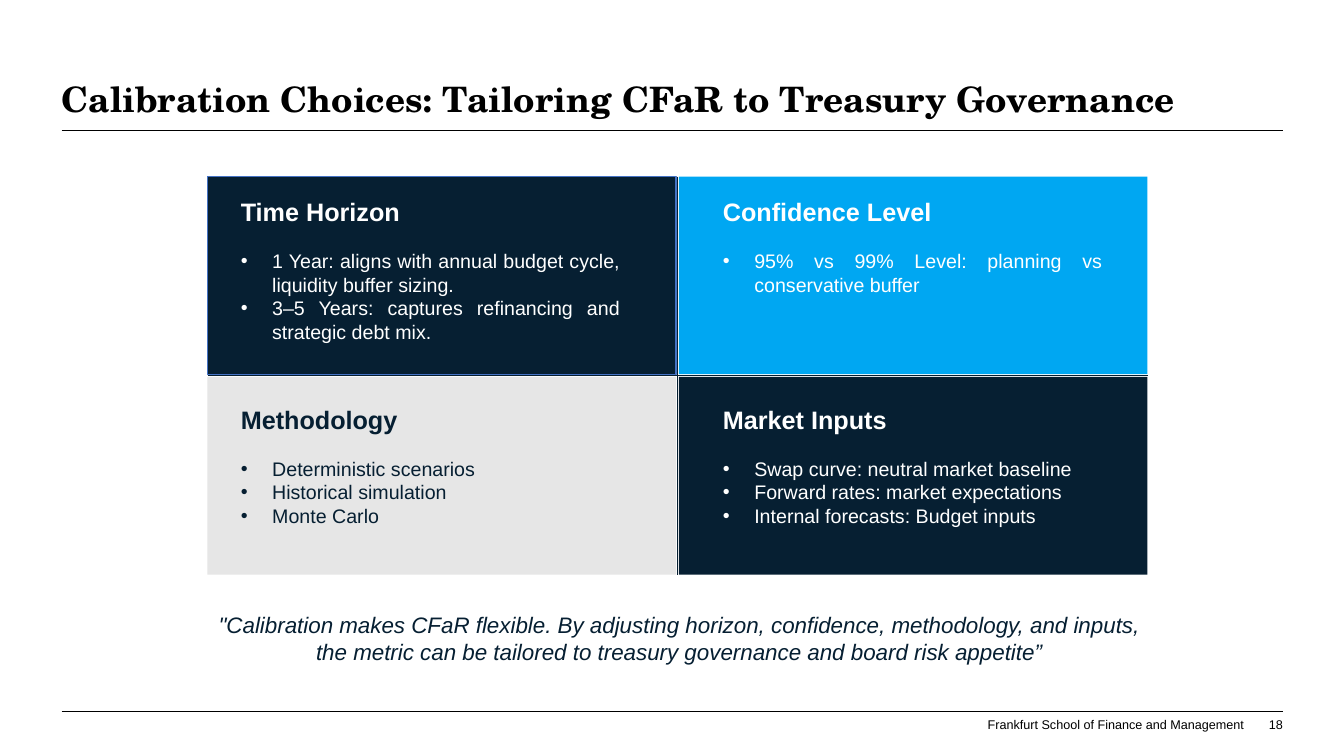
"""Build the slide on calibration choices for CFaR."""
from lxml.etree import SubElement
from pptx import Presentation
from pptx.dml.color import RGBColor
from pptx.enum.shapes import MSO_CONNECTOR, MSO_SHAPE
from pptx.enum.text import MSO_ANCHOR, MSO_AUTO_SIZE, PP_ALIGN
from pptx.oxml.ns import qn
from pptx.util import Cm, Pt

TITLE = "Calibration Choices: Tailoring CFaR to Treasury Governance"
PANELS = [
    {"heading": "Time Horizon", "fill": "navy", "ink": "white", "outline": "blue",
     "points": ["1 Year: aligns with annual budget cycle, liquidity buffer sizing.",
                "3–5 Years: captures refinancing and strategic debt mix."]},
    {"heading": "Confidence Level", "fill": "sky", "ink": "white",
     "points": ["95% vs 99% Level: planning vs conservative buffer"]},
    {"heading": "Methodology", "fill": "grey", "ink": "navy",
     "points": ["Deterministic scenarios", "Historical simulation", "Monte Carlo"]},
    {"heading": "Market Inputs", "fill": "navy", "ink": "white",
     "points": ["Swap curve: neutral market baseline",
                "Forward rates: market expectations",
                "Internal forecasts: Budget inputs"]},
]
QUOTE = ('"Calibration makes CFaR flexible. By adjusting horizon, confidence, methodology, '
         "and inputs, the metric can be tailored to treasury governance and board risk appetite”")
SCHOOL = "Frankfurt School of Finance and Management"
PAGE = "18"

COLORS = {"black": "000000", "white": "FFFFFF", "navy": "061F32",
          "sky": "00A7F2", "grey": "E6E6E6", "blue": "4472C4"}
MARGIN, RIGHT = 1.55, 32.33
GRID_LEFT, GRID_TOP = 5.23, 4.45
PANEL_WIDTH, PANEL_HEIGHT, GAP = 11.81, 4.98, 0.07
GRID_RIGHT = GRID_LEFT + 2 * PANEL_WIDTH + GAP
GRID_BOTTOM = GRID_TOP + 2 * PANEL_HEIGHT + GAP
TEXT_LEFTS, TEXT_TOPS = (5.82, 17.97), (4.83, 10.06)
TEXT_WIDTH, TEXT_HEIGHT = 10.06, 3.43
INDENT = 0.79


def write(frame, text, size, color="black", font="Arial", bold=False, italic=False,
          align=PP_ALIGN.LEFT, after=0, bullet=False):
    """Add one formatted paragraph, using the empty first one when it is free."""
    first = frame.paragraphs[0]
    paragraph = frame.add_paragraph() if first.runs else first
    paragraph.alignment = align
    paragraph.space_before, paragraph.space_after = Pt(0), Pt(after)
    if bullet:
        properties = paragraph._p.get_or_add_pPr()
        properties.set("marL", str(Cm(INDENT)))
        properties.set("indent", str(-Cm(INDENT)))
        SubElement(properties, qn("a:buFont")).set("typeface", "Arial")
        SubElement(properties, qn("a:buChar")).set("char", "•")
    run = paragraph.add_run()
    run.text = text
    run.font.name, run.font.size = font, Pt(size)
    run.font.bold, run.font.italic = bold, italic
    run.font.color.rgb = RGBColor.from_string(COLORS[color])


def set_frame(frame, anchor=MSO_ANCHOR.TOP, inset=True):
    """Set wrapping, anchor and margins of a text frame."""
    frame.word_wrap = True
    frame.auto_size = MSO_AUTO_SIZE.NONE
    frame.vertical_anchor = anchor
    if not inset:
        frame.margin_left = frame.margin_right = frame.margin_top = frame.margin_bottom = 0
    return frame


def add_frame(slide, left, top, width, height, **options):
    """Add a text box and return its frame."""
    box = slide.shapes.add_textbox(Cm(left), Cm(top), Cm(width), Cm(height))
    return set_frame(box.text_frame, **options)


def add_line(slide, start, end, color="black", width=0.5):
    """Add a straight line between two points."""
    line = slide.shapes.add_connector(MSO_CONNECTOR.STRAIGHT, *map(Cm, start + end))
    line.line.color.rgb = RGBColor.from_string(COLORS[color])
    line.line.width = Pt(width)
    SubElement(line._element.spPr, qn("a:effectLst"))


def add_panel(slide, panel, row, column):
    """Add the coloured rectangle of one panel."""
    shape = slide.shapes.add_shape(
        MSO_SHAPE.RECTANGLE,
        Cm(GRID_LEFT + column * (PANEL_WIDTH + GAP)),
        Cm(GRID_TOP + row * (PANEL_HEIGHT + GAP)),
        Cm(PANEL_WIDTH), Cm(PANEL_HEIGHT))
    shape.shadow.inherit = False
    shape.fill.solid()
    shape.fill.fore_color.rgb = RGBColor.from_string(COLORS[panel["fill"]])
    if "outline" in panel:
        shape.line.color.rgb = RGBColor.from_string(COLORS[panel["outline"]])
        shape.line.width = Pt(0.85)
    else:
        shape.line.fill.background()


def add_panel_text(slide, panel, row, column):
    """Add the heading and bullet points of one panel."""
    frame = add_frame(slide, TEXT_LEFTS[column], TEXT_TOPS[row], TEXT_WIDTH, TEXT_HEIGHT)
    write(frame, panel["heading"], 18, color=panel["ink"], bold=True,
          align=PP_ALIGN.JUSTIFY, after=16)
    for point in panel["points"]:
        write(frame, point, 14, color=panel["ink"], align=PP_ALIGN.JUSTIFY, bullet=True)


def main():
    """Assemble and save the slide."""
    presentation = Presentation()
    presentation.slide_width, presentation.slide_height = Cm(33.87), Cm(19.05)
    slide = presentation.slides.add_slide(presentation.slide_layouts[5])

    title = slide.shapes.title
    title.left, title.top = Cm(MARGIN), Cm(0.99)
    title.width, title.height = Cm(RIGHT - MARGIN), Cm(2.03)
    write(set_frame(title.text_frame, anchor=MSO_ANCHOR.BOTTOM, inset=False), TITLE, 25,
          font="TeX Gyre Schola", bold=True)
    for height in (3.28, 17.93):
        add_line(slide, (MARGIN, height), (RIGHT, height))

    cells = [(panel, *divmod(index, 2)) for index, panel in enumerate(PANELS)]
    for cell in cells:
        add_panel(slide, *cell)
    middle_x = (GRID_LEFT + GRID_RIGHT) / 2
    middle_y = (GRID_TOP + GRID_BOTTOM) / 2
    add_line(slide, (GRID_LEFT, middle_y), (GRID_RIGHT, middle_y), color="navy", width=1)
    add_line(slide, (middle_x, GRID_TOP), (middle_x, GRID_BOTTOM), color="navy", width=1)
    for cell in cells:
        add_panel_text(slide, *cell)

    write(add_frame(slide, 5.36, 15.4, 23.52, 1.37, inset=False), QUOTE, 16,
          color="navy", italic=True, align=PP_ALIGN.CENTER)
    for text, left, width in ((SCHOOL, 23.32, 8.03), (PAGE, 31.42, 0.91)):
        write(add_frame(slide, left, 18.06, width, 0.38, anchor=MSO_ANCHOR.BOTTOM, inset=False),
              text, 9, align=PP_ALIGN.RIGHT)

    presentation.save("out.pptx")


if __name__ == "__main__":
    main()
